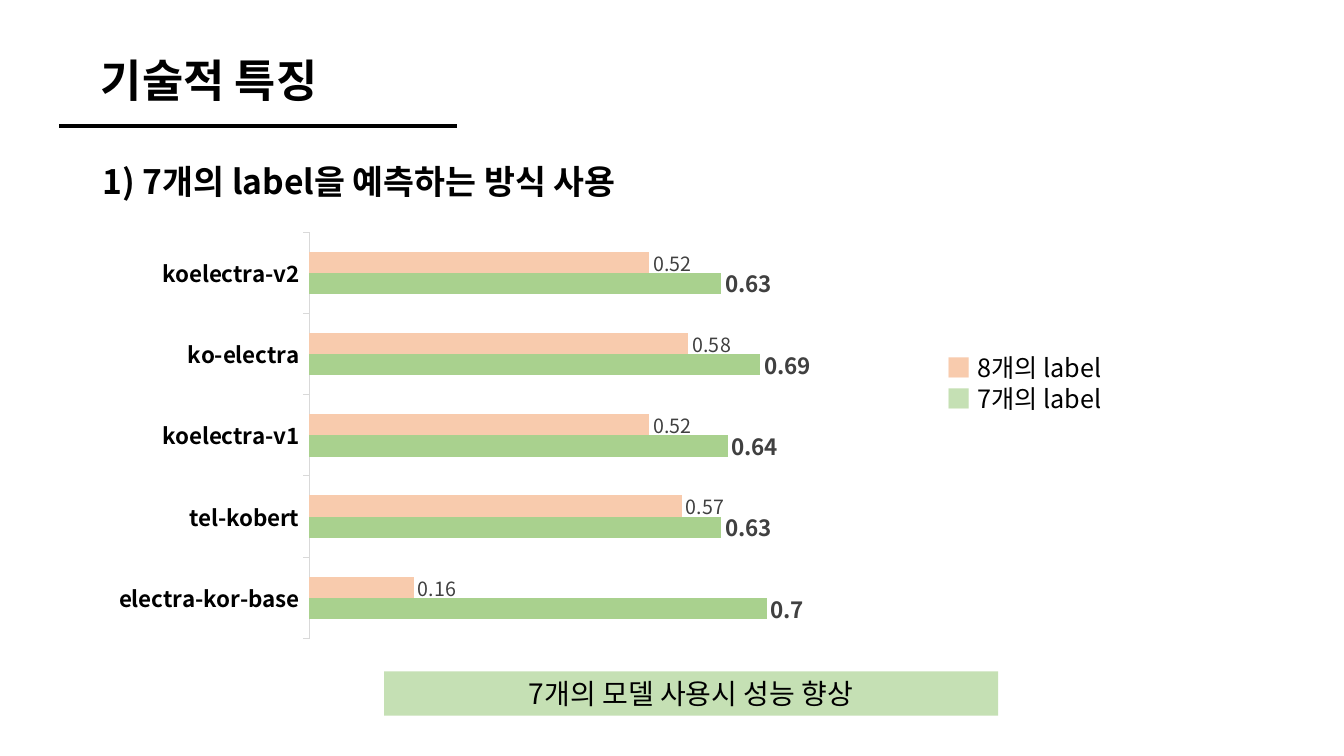
from lxml import etree
from pptx import Presentation
from pptx.chart.data import CategoryChartData
from pptx.dml.color import RGBColor
from pptx.enum import chart as ch, shapes, text
from pptx.oxml.ns import qn
from pptx.util import Inches, Pt

FONT = "Noto Sans CJK KR"
BLACK, GREY, AXIS = "000000", "404040", "D9D9D9"
GREEN, PALE_GREEN, PEACH = "A9D18E", "C5E0B4", "F8CBAD"

TITLE = "기술적 특징"
HEADING = "1) 7개의 label을 예측하는 방식 사용"
CONCLUSION = "7개의 모델 사용시 성능 향상"
LEGEND = [("8개의 label", PEACH), ("7개의 label", PALE_GREEN)]
MODELS = ["electra-kor-base", "tel-kobert", "koelectra-v1", "ko-electra", "koelectra-v2"]
# name, scores, bar colour, label size, bold labels
SERIES = [
    ("Series 1", (0.7, 0.63, 0.64, 0.69, 0.63), GREEN, 16, True),
    ("Series 2", (0.16, 0.57, 0.52, 0.58, 0.52), PEACH, 14, False),
]
PLOT = {"x": 0.275, "y": 0.02, "w": 0.704, "h": 0.96}  # shares of the chart


def rgb(value):
    return RGBColor.from_string(value)


def style(font, size, color=BLACK, bold=False):
    font.name, font.size, font.bold = FONT, Pt(size), bold
    font.color.rgb = rgb(color)


def write(tf, lines, size, bold=False, align=text.PP_ALIGN.LEFT):
    """Fill a text frame with lines, each a list of (text, colour) runs."""
    tf.word_wrap = True
    for i, runs in enumerate(lines):
        p = tf.paragraphs[0] if i == 0 else tf.add_paragraph()
        p.alignment = align
        for words, color in runs:
            r = p.add_run()
            r.text = words
            style(r.font, size, color, bold)
            etree.SubElement(r.font._element, qn("a:ea")).set("typeface", FONT)


def add_text(s, box, lines, size, **options):
    tf = s.shapes.add_textbox(*map(Inches, box)).text_frame
    write(tf, lines, size, **options)
    return tf


def set_plot_area(chart):
    """Fix the inner plot area at the shares given in PLOT."""
    area = chart._chartSpace.chart.plotArea
    for old in area.findall(qn("c:layout")):
        area.remove(old)
    layout = etree.Element(qn("c:layout"))
    area.insert(0, layout)
    manual = etree.SubElement(layout, qn("c:manualLayout"))
    settings = [("layoutTarget", "inner"), ("xMode", "edge"), ("yMode", "edge"), *PLOT.items()]
    for tag, value in settings:
        etree.SubElement(manual, qn("c:" + tag)).set("val", str(value))


def add_scores(s, box):
    data = CategoryChartData()
    data.categories = MODELS
    for name, scores, *_ in SERIES:
        data.add_series(name, scores)
    chart = s.shapes.add_chart(ch.XL_CHART_TYPE.BAR_CLUSTERED, *map(Inches, box), data).chart
    chart.has_legend = chart.has_title = False
    chart.font.name, chart.font.size = "Arial", Pt(10)
    chart.font.color.rgb = rgb(BLACK)
    plot = chart.plots[0]
    plot.gap_width, plot.overlap, plot.vary_by_categories = 182, 0, False
    for series, (_, _, color, size, bold) in zip(plot.series, SERIES):
        series.format.fill.solid()
        series.format.fill.fore_color.rgb = rgb(color)
        labels = series.data_labels
        labels.show_value = True
        labels.position = ch.XL_LABEL_POSITION.OUTSIDE_END
        style(labels.font, size, GREY, bold)
    models, scale = chart.category_axis, chart.value_axis
    models.major_tick_mark = ch.XL_TICK_MARK.OUTSIDE
    models.format.line.color.rgb = rgb(AXIS)
    models.format.line.width = Pt(0.75)
    style(models.tick_labels.font, 16, bold=True)
    scale.minimum_scale, scale.maximum_scale = 0, 0.8
    scale.has_major_gridlines = scale.visible = False
    set_plot_area(chart)


prs = Presentation()
prs.slide_width, prs.slide_height = Inches(13.33), Inches(7.5)
s = prs.slides.add_slide(prs.slide_layouts[6])

add_text(s, (0.92, 1.55, 5.41, 0.5), [[(HEADING, BLACK)]], 24, bold=True)

banner = s.shapes.add_shape(shapes.MSO_SHAPE.RECTANGLE, *map(Inches, (3.81, 6.66, 6.09, 0.44)))
banner.shadow.inherit = False
banner.fill.solid()
banner.fill.fore_color.rgb = rgb(PALE_GREEN)
banner.line.fill.background()
write(banner.text_frame, [[(CONCLUSION, BLACK)]], 20, align=text.PP_ALIGN.CENTER)

rule = s.shapes.add_connector(shapes.MSO_CONNECTOR.STRAIGHT, *map(Inches, (0.59, 1.25, 4.53, 1.25)))
rule.line.color.rgb = rgb(BLACK)
rule.line.width = Pt(3.25)
etree.SubElement(rule._element.spPr, qn("a:effectLst"))

title = add_text(s, (0.34, 0.28, 3.47, 1.08), [[(TITLE, BLACK)]], 32, bold=True,
                 align=text.PP_ALIGN.CENTER)
title.vertical_anchor = text.MSO_ANCHOR.MIDDLE
title.paragraphs[0].line_spacing = 0.9

add_scores(s, (1.04, 2.22, 7.37, 4.2))
add_text(s, (9.29, 3.45, 1.75, 0.71),
         [[("■ ", color), (name, BLACK)] for name, color in LEGEND], 18)

prs.save("out.pptx")
